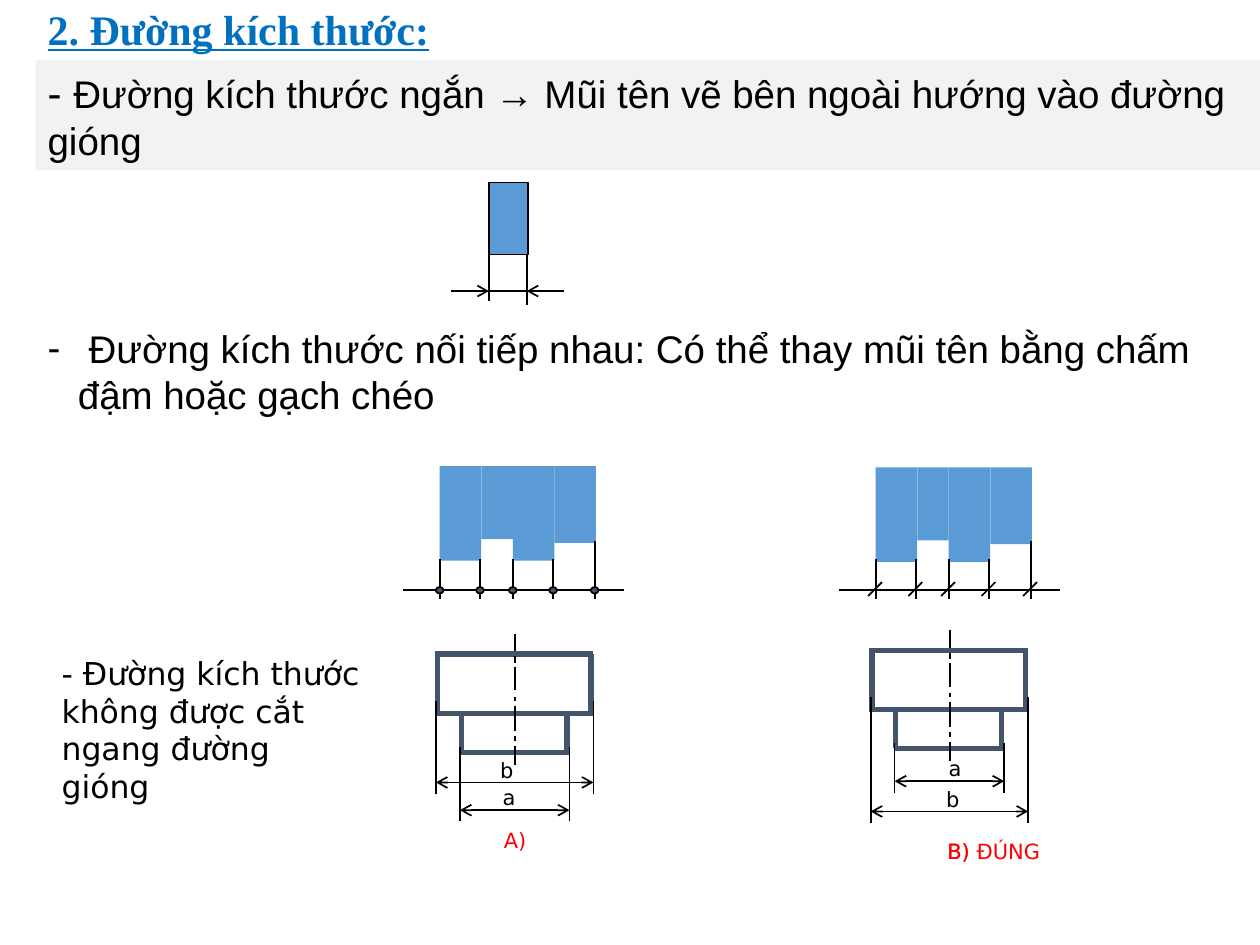
"""Build a slide on the rules for drawing dimension lines."""
from itertools import accumulate

from pptx import Presentation
from pptx.dml.color import RGBColor
from pptx.enum.shapes import MSO_CONNECTOR as Conn, MSO_SHAPE as Kind
from pptx.enum.text import MSO_ANCHOR as Anchor, PP_ALIGN as Align
from pptx.oxml.ns import qn
from pptx.util import Inches, Pt
from lxml.etree import SubElement

BLACK = RGBColor(0x00, 0x00, 0x00)
BLUE = RGBColor(0x5B, 0x9B, 0xD5)
SLATE = RGBColor(0x44, 0x54, 0x6A)
GREY = RGBColor(0xF2, 0xF2, 0xF2)
RED = RGBColor(0xFF, 0x00, 0x00)
AZURE = RGBColor(0x00, 0x70, 0xC0)

HEAD = dict(name="Times New Roman", size=Pt(24), bold=True, underline=True)
DASH = dict(name="Arial", size=Pt(24))
RULE = dict(name="Arial", size=Pt(22))
NOTE = dict(name="DejaVu Sans", size=Pt(18))
MARK = dict(name="DejaVu Sans", size=Pt(12))

BAND = (0.28, 0.48, 9.72, 0.87)
SHORT = [("- ", DASH), ("Đường kích thước ngắn → Mũi tên vẽ bên ngoài "
                        "hướng vào đường gióng", RULE)]
CHAIN = " Đường kích thước nối tiếp nhau: Có thể thay mũi tên bằng chấm đậm hoặc gạch chéo"
TEXTS = [
    ((0.28, -0.02, 3.46, 0.5), [("2. Đường kích thước:", HEAD)], AZURE, None),
    ((0.28, 2.53, 9.72, 0.84), [(CHAIN, RULE)], BLACK, "-"),
    ((0.39, 5.14, 2.58, 1), [("- Đường kích thước không được cắt ngang đường gióng", NOTE)],
     BLACK, None),
    ((3.9, 6.52, 0.47, 0.3), [("A)", MARK)], RED, None),
    ((7.42, 6.61, 0.47, 0.3), [("B)", MARK)], RED, None),
    ((7.42, 6.61, 0.99, 0.3), [("B) ĐÚNG", MARK)], RED, None),
]

BAR = (3.88, 1.45, 0.31, 0.57)
GAP = [
    ((3.88, 2, 3.88, 2.39), ""),
    ((4.18, 2, 4.18, 2.42), ""),
    ((3.88, 2.31, 4.18, 2.31), ""),
    ((3.58, 2.31, 3.88, 2.31), "tail"),
    ((4.18, 2.31, 4.48, 2.31), "head"),
]

STEPS = [(0.33, 0.75), (0.25, 0.58), (0.33, 0.75), (0.33, 0.61)]
TICKS = [(0, 4.44), (0.32, 4.44), (0.58, 4.44), (0.9, 4.44), (1.23, 4.29)]
BASE = 4.68
BLOCKS = [(3.49, 3.7, "dot"), (6.95, 3.71, "slash")]

EDGES = [
    (0.2, 0.78, 1.07, 0.78), (0, 0.47, 1.26, 0.47),
    (1.05, 0.78, 1.05, 0.47), (0.21, 0.78, 0.21, 0.47),
    (0.02, 0.47, 0.02, 0), (1.24, 0.47, 1.24, 0), (0, 0, 1.26, 0),
]
AXIS = 0.64
DASHES = [(-0.16, -0.02), (0.02, 0.07), (0.1, 0.29), (0.34, 0.37),
          (0.41, 0.61), (0.65, 0.69), (0.73, 0.88)]
SPANS = {"a": (0.2, 1.07, 0.74, 0.02), "b": (0.01, 1.26, 0.37, 0)}
VIEWS = [
    (3.45, 5.19, 0.42, {"b": 6.21, "a": 6.43}),
    (6.9, 5.16, 0.51, {"a": 6.2, "b": 6.44}),
]

deck = Presentation()
deck.slide_width, deck.slide_height = Inches(10), Inches(7.5)
slide = deck.slides.add_slide(deck.slide_layouts[6])
shapes = slide.shapes


def line(ends, color=BLACK, width=1, arrows=""):
    link = shapes.add_connector(Conn.STRAIGHT, *map(Inches, ends))
    link.line.color.rgb = color
    link.line.width = Pt(width)
    props = link.element.spPr
    for side in arrows.split():
        SubElement(props.find(qn("a:ln")), qn(f"a:{side}End"), type="arrow")
    SubElement(props, qn("a:effectLst"))


def solid(kind, place, fill, width=0):
    shape = shapes.add_shape(kind, *map(Inches, place))
    shape.shadow.inherit = False
    shape.fill.solid()
    shape.fill.fore_color.rgb = fill
    if width:
        shape.line.color.rgb = BLACK
        shape.line.width = Pt(width)
    else:
        shape.line.fill.background()
    return shape


def write(shape, runs, color=BLACK, bullet=None):
    frame = shape.text_frame
    frame.word_wrap = True
    frame.vertical_anchor = Anchor.TOP
    para = frame.paragraphs[0]
    para.alignment = Align.LEFT
    if bullet:
        props = para._p.get_or_add_pPr()
        props.set("marL", str(Inches(0.24)))
        props.set("indent", str(Inches(-0.24)))
        SubElement(props, qn("a:buFont"), typeface="Arial")
        SubElement(props, qn("a:buChar"), char=bullet)
    for text, style in runs:
        run = para.add_run()
        run.text = text
        for key, value in style.items():
            setattr(run.font, key, value)
        run.font.color.rgb = color


def label(place, runs, color=BLACK, bullet=None):
    write(shapes.add_textbox(*map(Inches, place)), runs, color, bullet)


def block(left, top, mark):
    starts = accumulate((wide for wide, _ in STEPS), initial=left)
    for x, (wide, high) in zip(starts, STEPS):
        solid(Kind.RECTANGLE, (x, top, wide, high), BLUE)
    line((left - 0.29, BASE, left + 1.46, BASE))
    for step, start in TICKS:
        x = left + step
        line((x, start, x, 4.75))
        if mark == "dot":
            solid(Kind.OVAL, (x - 0.03, BASE - 0.02, 0.06, 0.05), SLATE, 1)
        else:
            line((x - 0.06, BASE + 0.05, x + 0.05, BASE - 0.06))


def view(left, top, shift, rows):
    for x1, y1, x2, y2 in EDGES:
        line((left + x1, top + y1, left + x2, top + y2), SLATE, 3)
    for start, end in DASHES:
        line((left + AXIS, top + start, left + AXIS, top + end))
    for name, y in rows.items():
        near, far, start, nudge = SPANS[name]
        for x in (left + near, left + far):
            line((x, top + start, x, y + 0.09))
        line((left + near, y, left + far, y), arrows="head tail")
        label((left + shift + nudge, y - 0.25, 0.35, 0.3), [(name, MARK)])


write(solid(Kind.RECTANGLE, BAND, GREY), SHORT)
for ends, arrows in GAP:
    line(ends, arrows=arrows)
solid(Kind.RECTANGLE, BAR, BLUE, 0.75)
for item in BLOCKS:
    block(*item)
for item in VIEWS:
    view(*item)
for item in TEXTS:
    label(*item)

deck.save("out.pptx")
